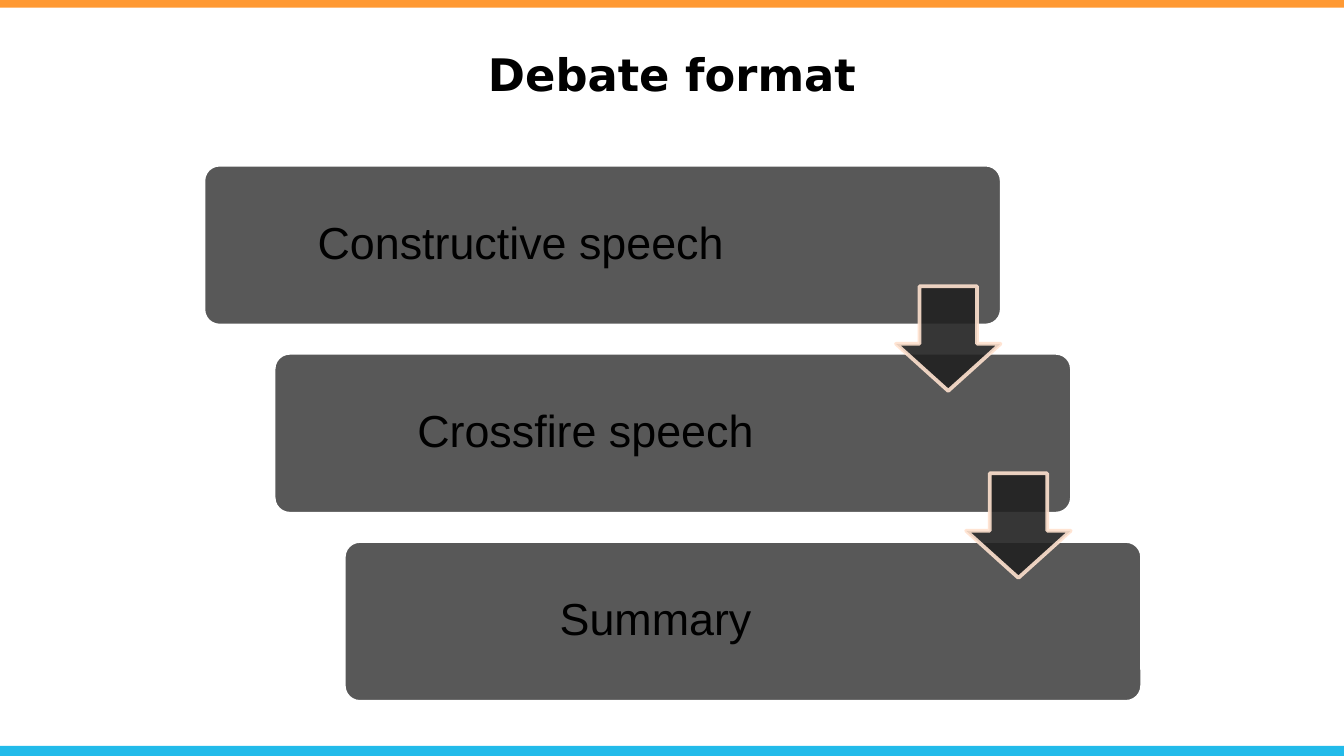
"""Build the debate format slide: three stepped cards joined by arrows."""
from lxml.etree import SubElement
from pptx import Presentation
from pptx.dml.color import RGBColor
from pptx.enum.shapes import MSO_SHAPE
from pptx.enum.text import MSO_ANCHOR, PP_ALIGN
from pptx.oxml.ns import qn
from pptx.util import Pt

HUES = {"blue": "22BBEA", "orange": "FF9933", "card": "585858",
        "white": "FFFFFF", "arrow": "212121", "rim": "FFE2CF", "ink": "000000"}
STEPS = [("Constructive speech", 334.8), ("Crossfire speech", 329),
         ("Summary", 329)]
TITLE = {"name": "DejaVu Sans", "size": Pt(24), "bold": True}
LABEL = {"name": "Arial", "size": Pt(24), "bold": False}
FRAME = {"word_wrap": True, "margin_left": Pt(7.2), "margin_right": Pt(7.2)}


def apply(item, values):
    for key, value in values.items():
        setattr(item, key, value)


def tint(fill, hue, alpha=None):
    fill.solid()
    fill.fore_color.rgb = RGBColor.from_string(HUES[hue])
    if alpha:
        node = fill._xPr.find(qn("a:solidFill"))[0]
        SubElement(node, qn("a:alpha"), val=str(alpha * 1000))


def add_shape(slide, kind, box, hue, rim=None, alpha=None, adjust=()):
    shape = slide.shapes.add_shape(kind, *map(Pt, box))
    shape.shadow.inherit = False
    for i, value in enumerate(adjust):
        shape.adjustments[i] = value
    tint(shape.fill, hue, alpha)
    if rim:
        shape.line.width = Pt(2)
        tint(shape.line.fill, rim, alpha)
    else:
        shape.line.fill.background()


def set_text(shape, text, font, anchor, pad, space=1.0):
    frame = shape.text_frame
    apply(frame, FRAME | {"vertical_anchor": anchor, "margin_top": Pt(pad),
                          "margin_bottom": Pt(pad)})
    line = frame.paragraphs[0]
    apply(line, {"alignment": PP_ALIGN.CENTER, "line_spacing": space})
    run = line.add_run()
    run.text = text
    apply(run.font, font)
    run.font.color.rgb = RGBColor.from_string(HUES["ink"])


def add_title(slide, text):
    title = slide.shapes.title
    apply(title, {"left": Pt(49.7), "top": Pt(21.6),
                  "width": Pt(620.6), "height": Pt(48.2)})
    set_text(title, text, TITLE, MSO_ANCHOR.TOP, 3.6)


def add_card(slide, i, text, width):
    left, top = 109 + 37.6 * i, 88.2 + 100.8 * i
    add_shape(slide, MSO_SHAPE.ROUNDED_RECTANGLE, (left, top, 427.7, 86.2),
              "card", "white", adjust=[0.1])
    box = slide.shapes.add_textbox(*map(Pt, (left + 2.5, top + 2.5, width, 81.2)))
    set_text(box, text, LABEL, MSO_ANCHOR.MIDDLE, 7.2, 0.9)


def add_arrow(slide, i):
    add_shape(slide, MSO_SHAPE.DOWN_ARROW,
              (480 + 37.6 * i, 153.4 + 100.2 * i, 56, 56),
              "arrow", "rim", 90, [0.55, 0.45])


def main():
    deck = Presentation()
    apply(deck, {"slide_width": Pt(720), "slide_height": Pt(405)})
    slide = deck.slides.add_slide(deck.slide_layouts[5])
    add_shape(slide, MSO_SHAPE.RECTANGLE, (0, 399.6, 720, 6), "blue")
    add_shape(slide, MSO_SHAPE.RECTANGLE, (0, 0, 720, 4.2), "orange")
    add_title(slide, "Debate format")
    for i, (text, width) in enumerate(STEPS):
        add_card(slide, i, text, width)
    for i in range(len(STEPS) - 1):
        add_arrow(slide, i)
    deck.save("out.pptx")


if __name__ == "__main__":
    main()
